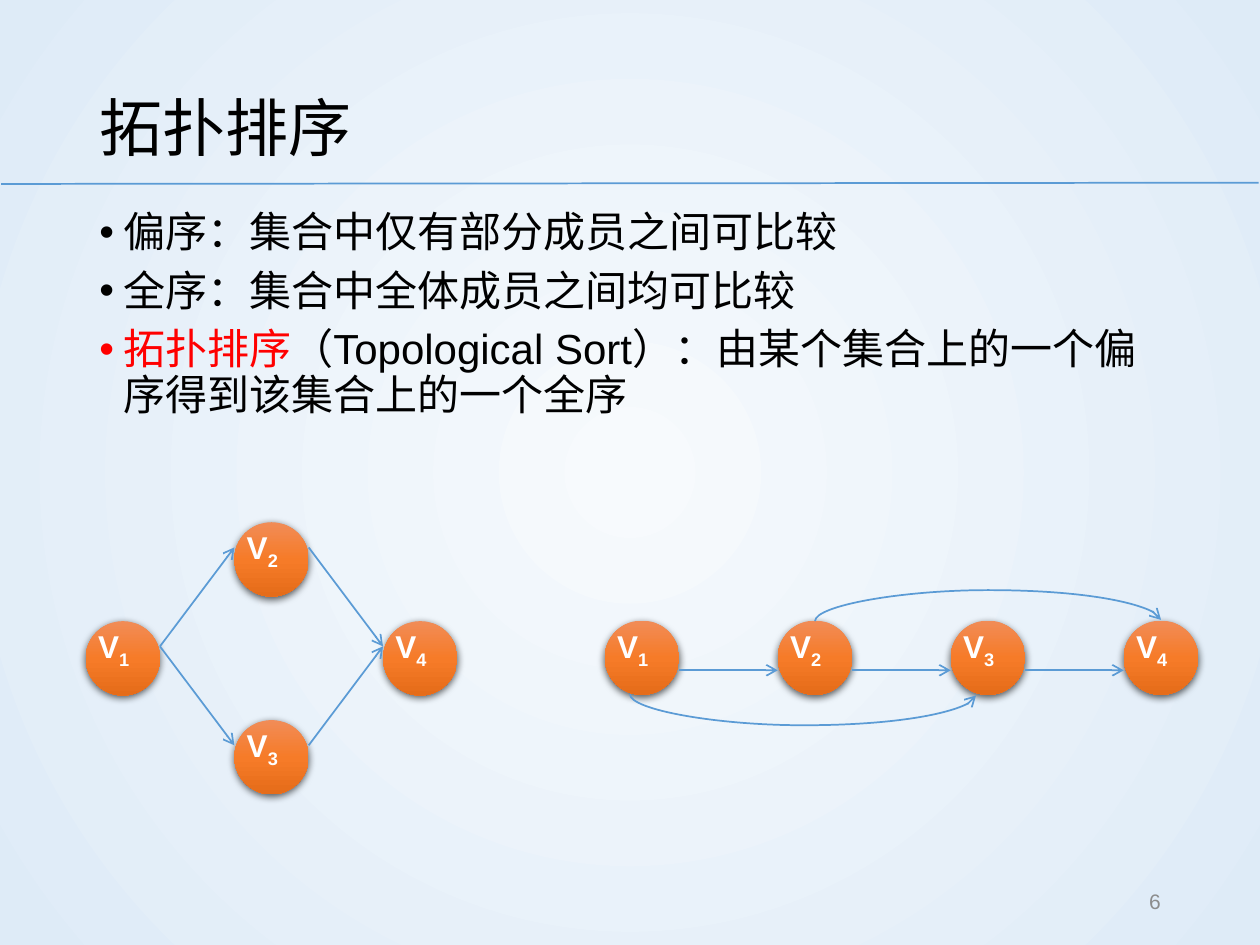
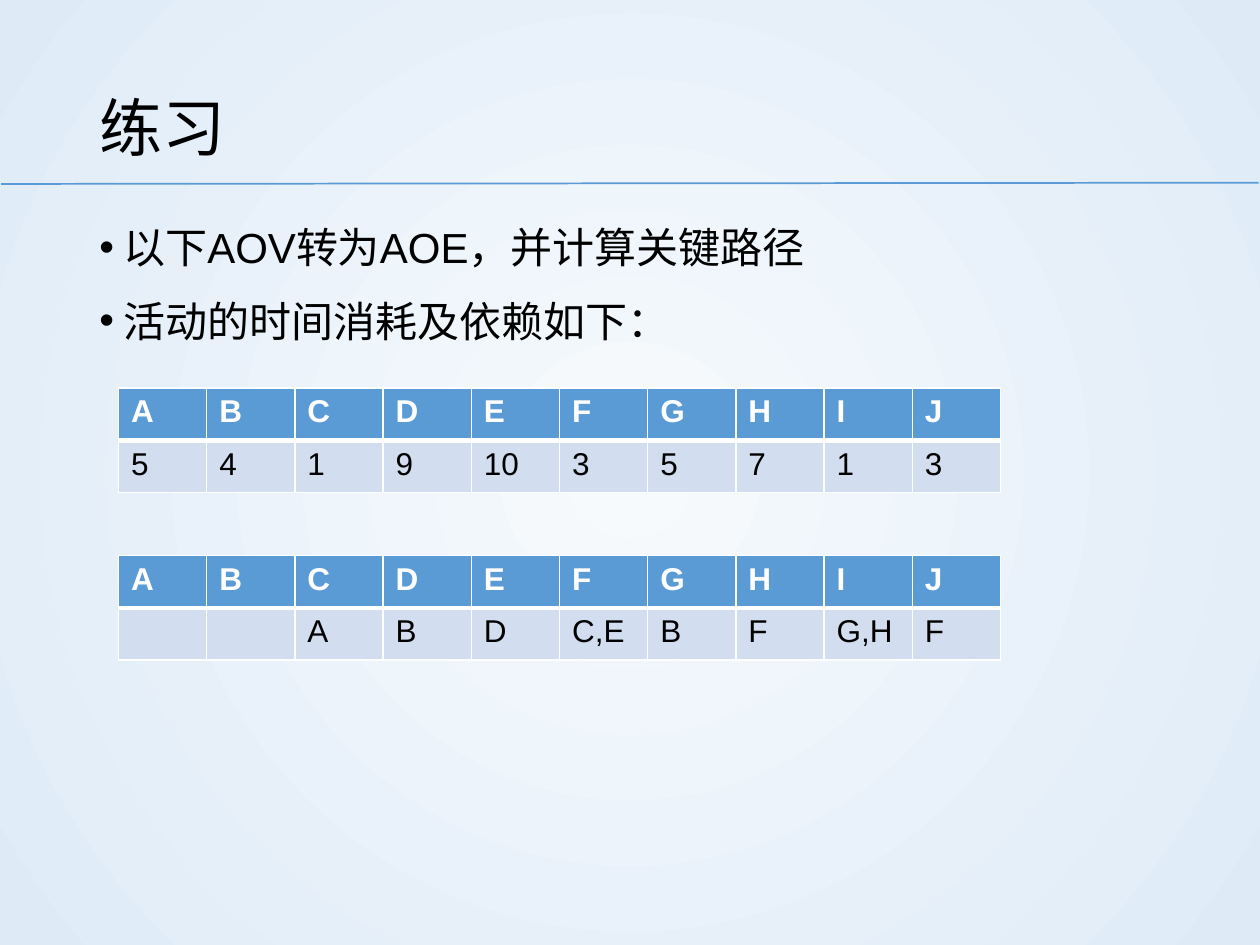
import dataclasses

import lxml.etree
import pptx
import pptx.dml.color
import pptx.enum.shapes
import pptx.enum.text
import pptx.oxml.ns
import pptx.util

qn = pptx.oxml.ns.qn
Pt = pptx.util.Pt
ALIGN = pptx.enum.text.PP_ALIGN
ANCHOR = pptx.enum.text.MSO_ANCHOR
CONNECTOR = pptx.enum.shapes.MSO_CONNECTOR
TOP, LEFT, BOTTOM, RIGHT = range(4)
TITLE_ONLY = 5


@dataclasses.dataclass(frozen=True)
class Theme:
    font: str = "Arial"
    ink: str = "000000"
    accent: str = "5B9BD5"
    highlight: str = "FF0000"
    white: str = "FFFFFF"
    muted: str = "8C8C8C"
    band: str = "D2DEEF"
    backdrop: tuple = ((0, "F7FAFD"), (100, "DEEBF7"))
    ball: tuple = ((0, "F18C57"), (50, "F67B28"), (100, "E56C19"))
    title_size: int = 36
    body_size: int = 24
    label_size: int = 18
    page_size: int = 12


THEME = Theme()
NODE = 5.9
LABEL_HEIGHT = 4


def grid(cells):
    return pptx.util.Inches(cells / 10)


def cells_to_lengths(*cells):
    return [grid(count) for count in cells]


def rgb(color):
    return pptx.dml.color.RGBColor.from_string(color)


def child(parent, tag, **attributes):
    return lxml.etree.SubElement(
        parent, qn(tag), {key: str(value) for key, value in attributes.items()})


def add_run(paragraph, text, size, color=THEME.ink, bold=False):
    run = paragraph.add_run()
    run.text = text
    run.font.name = THEME.font
    run.font.size = Pt(size)
    run.font.bold = bold
    run.font.color.rgb = rgb(color)
    return run


def set_gradient(owner, fill, stops):
    fill.gradient()
    gradient = next(owner.element.iter(qn("a:gradFill")))
    for part in list(gradient):
        gradient.remove(part)
    stop_list = child(gradient, "a:gsLst")
    for position, color in stops:
        stop = child(stop_list, "a:gs", pos=position * 1000)
        child(stop, "a:srgbClr", val=color)
    return gradient


def set_backdrop(master):
    gradient = set_gradient(master, master.background.fill, THEME.backdrop)
    circle = child(gradient, "a:path", path="circle")
    child(circle, "a:fillToRect", l=50000, t=50000, r=50000, b=50000)


def style_connector(connector, arrow=True):
    connector.line.color.rgb = rgb(THEME.accent)
    connector.line.width = Pt(1)
    properties = connector.element.spPr
    if arrow:
        child(properties.find(qn("a:ln")), "a:tailEnd", type="arrow")
    child(properties, "a:effectLst")


def add_line(shapes, start, end, arrow=True):
    line = shapes.add_connector(CONNECTOR.STRAIGHT, *cells_to_lengths(*start, *end))
    style_connector(line, arrow)
    return line


def add_titled_slide(deck, heading):
    slide = deck.slides.add_slide(deck.slide_layouts[TITLE_ONLY])
    add_line(slide.shapes, (0.1, 14.6), (99.9, 14.5), arrow=False)
    title = slide.shapes.title
    title.left, title.top, title.width, title.height = cells_to_lengths(6.9, 4, 86.2, 10.8)
    title.text_frame.vertical_anchor = ANCHOR.MIDDLE
    paragraph = title.text_frame.paragraphs[0]
    paragraph.alignment = ALIGN.LEFT
    paragraph.line_spacing = 1.2
    add_run(paragraph, heading, THEME.title_size)
    return slide


def add_bullets(slide, points, line_spacing):
    body = slide.shapes.add_textbox(*cells_to_lengths(6.9, 16.3, 86.2, 51.3)).text_frame
    body.word_wrap = True
    for index, point in enumerate(points):
        paragraph = body.add_paragraph() if index else body.paragraphs[0]
        paragraph.line_spacing = line_spacing
        paragraph.space_before = Pt(7.5)
        properties = paragraph._p.get_or_add_pPr()
        properties.set("marL", str(grid(1.9)))
        properties.set("indent", str(-grid(1.9)))
        child(properties, "a:buFont", typeface=THEME.font)
        child(properties, "a:buChar", char="•")
        for text, color in point:
            add_run(paragraph, text, THEME.body_size, color)


def add_page_number(slide, number):
    footer = slide.shapes.add_textbox(*cells_to_lengths(70.6, 69.5, 22.5, 4)).text_frame
    footer.word_wrap = True
    footer.vertical_anchor = ANCHOR.MIDDLE
    footer.paragraphs[0].alignment = ALIGN.RIGHT
    add_run(footer.paragraphs[0], number, THEME.page_size, THEME.muted)


def add_vertex(shapes, number, column, row):
    ball = shapes.add_shape(
        pptx.enum.shapes.MSO_SHAPE.FLOWCHART_CONNECTOR,
        *cells_to_lengths(column, row, NODE, NODE))
    gradient = set_gradient(ball, ball.fill, THEME.ball)
    child(gradient, "a:lin", ang=5400000, scaled=0)
    ball.line.fill.background()
    ball.shadow.inherit = False
    shadow = child(ball.element.spPr.find(qn("a:effectLst")), "a:outerShdw",
                   blurRad=Pt(4.5), dist=Pt(1.5), dir=5400000, rotWithShape=0)
    child(child(shadow, "a:srgbClr", val=THEME.ink), "a:alpha", val=63000)

    label = shapes.add_textbox(*cells_to_lengths(column, row, NODE, LABEL_HEIGHT))
    label.text_frame.word_wrap = True
    paragraph = label.text_frame.paragraphs[0]
    add_run(paragraph, "V", THEME.label_size, THEME.white, bold=True)
    subscript = add_run(paragraph, str(number), THEME.label_size, THEME.white, bold=True)
    subscript.font._element.set("baseline", "-25000")
    return label


def add_arc(shapes, start, end, row, above):
    bulge, thickness = 2.5, 0.1
    middle, half = (start + end) / 2, (end - start) / 2
    drop = half if above else -half
    arc = shapes.add_connector(CONNECTOR.CURVE, *cells_to_lengths(
        middle + thickness / 2, row + drop, middle - thickness / 2, row - drop))
    properties = arc.element.spPr
    properties.find(qn("a:xfrm")).set("rot", str((90 if above else 270) * 60000))
    adjustments = next(properties.iter(qn("a:avLst")))
    child(adjustments, "a:gd", name="adj1", fmla=f"val {round(bulge / thickness * 100000)}")
    style_connector(arc)


def add_partial_order(slide):
    shapes = slide.shapes.add_group_shape().shapes
    left, middle_row, step, rise = 6.8, 49.3, 11.8, 7.85
    places = [(0, 0), (1, -1), (1, 1), (2, 0)]
    labels = [add_vertex(shapes, number, left + across * step, middle_row + down * rise)
              for number, (across, down) in enumerate(places, 1)]
    for source, target in [(1, 2), (1, 3), (2, 4), (3, 4)]:
        edge = add_line(shapes, (0, 0), (1, 1))
        edge.begin_connect(labels[source - 1], RIGHT)
        edge.end_connect(labels[target - 1], LEFT)


def add_total_order(slide):
    shapes = slide.shapes.add_group_shape().shapes
    row = 49.25
    columns = [48 + 13.73 * index for index in range(4)]
    for number, column in enumerate(columns, 1):
        add_vertex(shapes, number, column, row)
    for source, target in zip(columns, columns[1:]):
        add_line(shapes, (source + NODE, 53.2), (target, 53.2))
    add_arc(shapes, columns[1] + NODE / 2, columns[3] + NODE / 2, row, above=True)
    add_arc(shapes, columns[0] + 2, columns[2] + 2, row + NODE, above=False)


def set_borders(cell, widths):
    properties = cell._tc.get_or_add_tcPr()
    for side, width in zip("LRTB", widths):
        border = child(properties, f"a:ln{side}", w=Pt(width))
        child(child(border, "a:solidFill"), "a:srgbClr", val=THEME.white)


def add_activity_table(slide, top, values):
    activities = "ABCDEFGHIJ"
    column_width, row_height = 7, 4.15
    table = slide.shapes.add_table(2, len(activities), *cells_to_lengths(
        9.4, top, column_width * len(activities), row_height * 2)).table
    styles = [
        (activities, THEME.accent, THEME.white, True, (1, 1, 1, 3)),
        (values, THEME.band, THEME.ink, False, (1, 1, 3, 1)),
    ]
    for row, (texts, fill, color, bold, borders) in enumerate(styles):
        for column, text in enumerate(texts):
            cell = table.cell(row, column)
            set_borders(cell, borders)
            cell.fill.solid()
            cell.fill.fore_color.rgb = rgb(fill)
            if text:
                add_run(cell.text_frame.paragraphs[0], text, THEME.label_size, color, bold)


def main():
    deck = pptx.Presentation()
    deck.slide_width, deck.slide_height = cells_to_lengths(100, 75)
    set_backdrop(deck.slide_master)

    sorting = add_titled_slide(deck, "拓扑排序")
    add_bullets(sorting, [
        [("偏序：集合中仅有部分成员之间可比较", THEME.ink)],
        [("全序：集合中全体成员之间均可比较", THEME.ink)],
        [("拓扑排序", THEME.highlight),
         ("（Topological Sort）：由某个集合上的一个偏序得到该集合上的一个全序", THEME.ink)],
    ], line_spacing=0.9)
    add_partial_order(sorting)
    add_total_order(sorting)
    add_page_number(sorting, "6")

    exercise = add_titled_slide(deck, "练习")
    add_bullets(exercise, [
        [("以下AOV转为AOE，并计算关键路径", THEME.ink)],
        [("活动的时间消耗及依赖如下：", THEME.ink)],
    ], line_spacing=1.2)
    durations = ["5", "4", "1", "9", "10", "3", "5", "7", "1", "3"]
    dependencies = ["", "", "A", "B", "D", "C,E", "B", "F", "G,H", "F"]
    for index, values in enumerate([durations, dependencies]):
        add_activity_table(exercise, 30.8 + 13.3 * index, values)

    deck.save("out.pptx")


if __name__ == "__main__":
    main()
